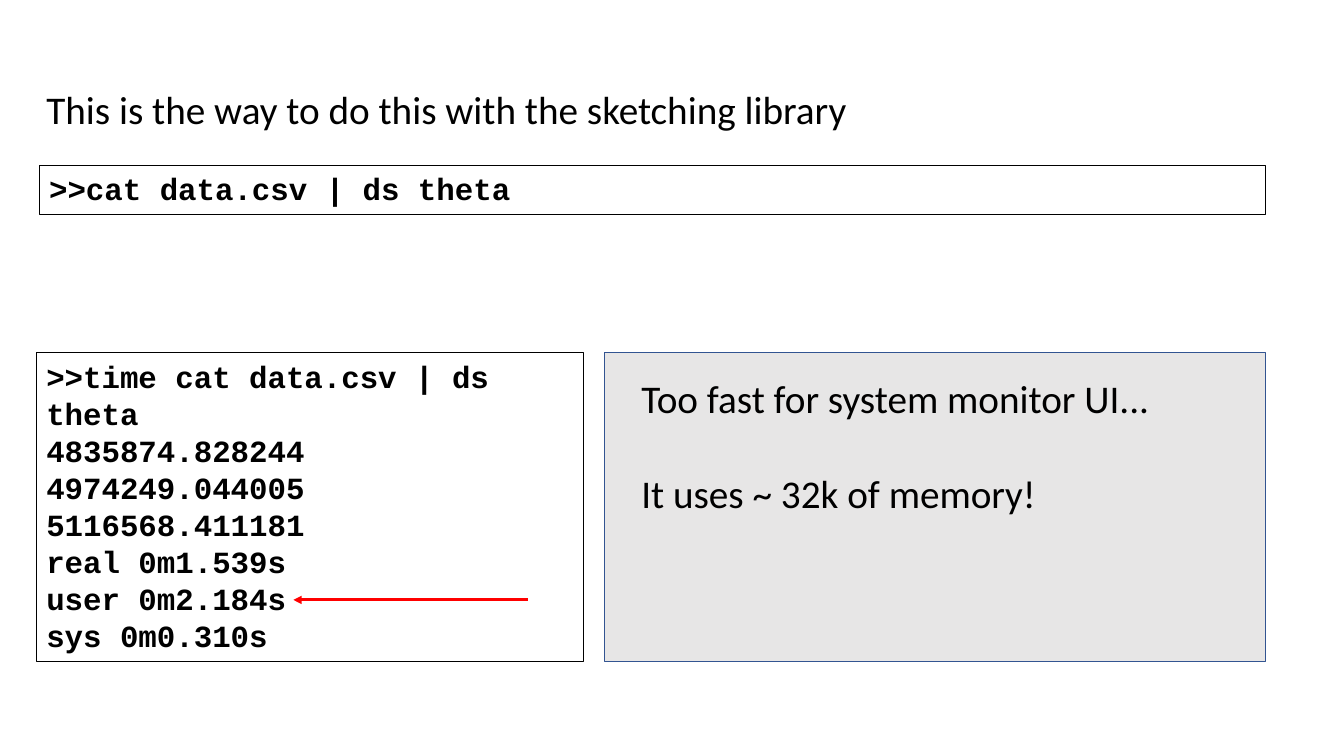
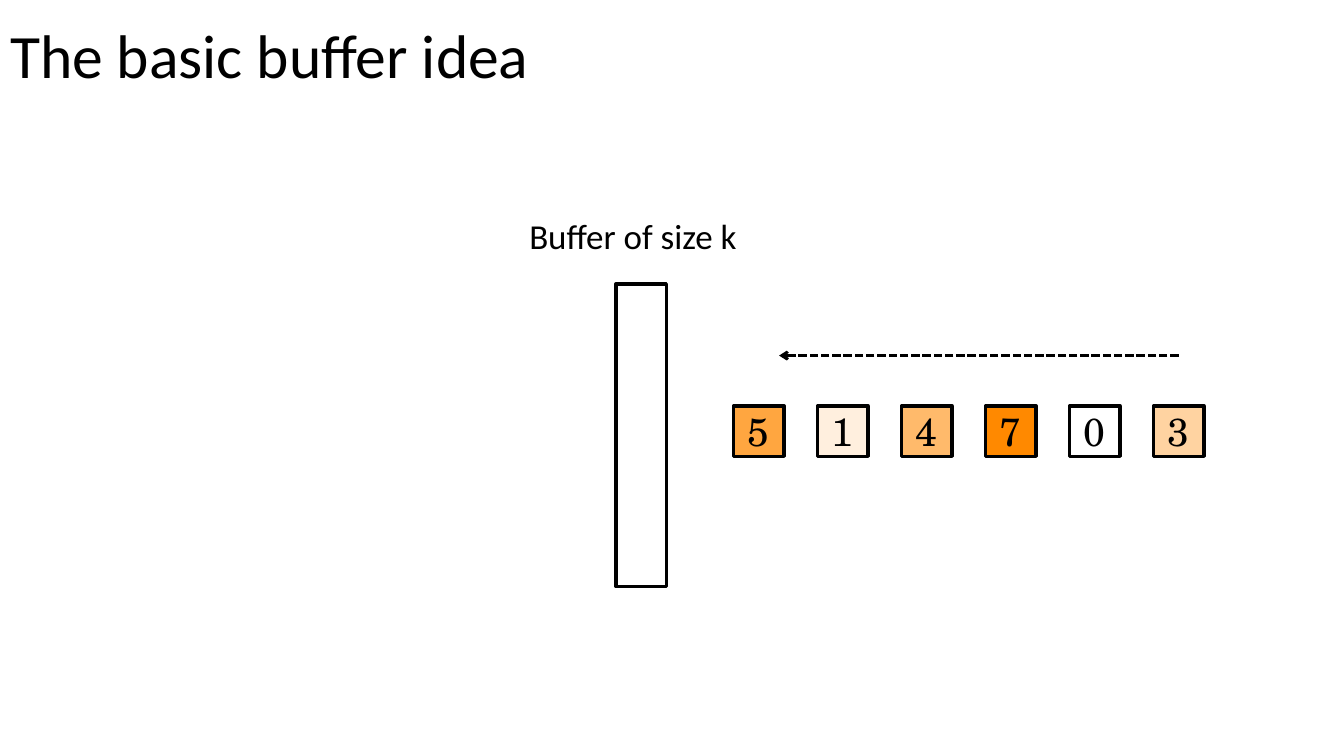
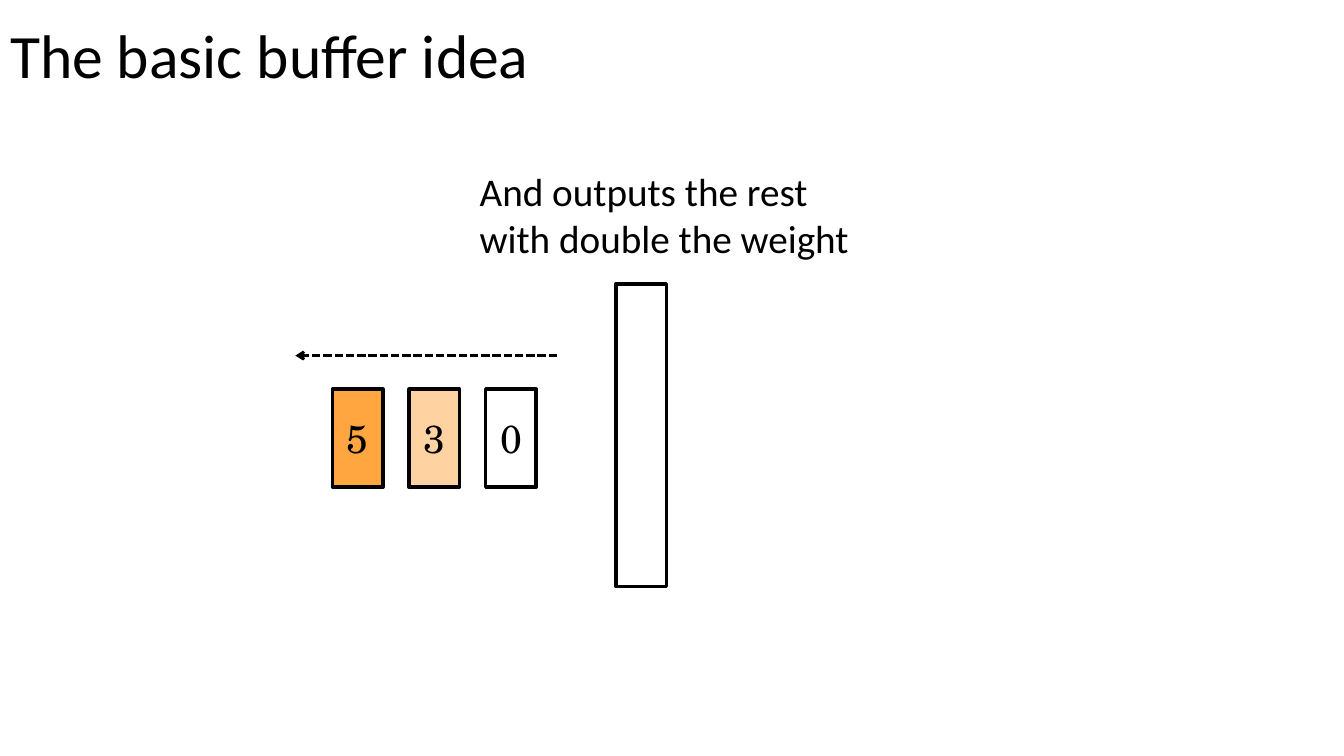
from lxml.etree import SubElement
from pptx import Presentation
from pptx.dml.color import RGBColor
from pptx.enum.dml import MSO_LINE
from pptx.enum.shapes import MSO_CONNECTOR, MSO_SHAPE
from pptx.enum.text import MSO_ANCHOR, MSO_AUTO_SIZE, PP_ALIGN
from pptx.oxml.ns import qn
from pptx.util import Pt

BLACK, RED, ORANGE, GREY, BLUE = "000000", "FF0000", "FF8900", "E7E6E6", "325491"
BODY_FONT, CODE_FONT, DIGIT_FONT = "Calibri", "Courier New", "TeX Gyre Schola"
TITLE_ONLY, BLANK = 5, 6
OPACITY = {0: 0, 1: 13, 3: 37, 4: 58, 5: 75, 7: 100}
TOKEN_WIDTH = 36


def color(value):
    return RGBColor.from_string(value)


def write(shape, lines, size, font=BODY_FONT, bold=False, align=PP_ALIGN.LEFT,
          anchor=MSO_ANCHOR.TOP, gap=0):
    frame = shape.text_frame
    frame.word_wrap = True
    frame.auto_size = MSO_AUTO_SIZE.NONE
    frame.vertical_anchor = anchor
    for index, line in enumerate(lines):
        paragraph = frame.add_paragraph() if index else frame.paragraphs[0]
        paragraph.alignment = align
        if index and gap:
            paragraph.space_before = Pt(gap)
        run = paragraph.add_run()
        run.text = line
        run.font.name = font
        run.font.size = Pt(size)
        run.font.bold = bold
        run.font.color.rgb = color(BLACK)


def add_text(slide, left, top, width, height, lines, size, gap=0):
    shape = slide.shapes.add_textbox(Pt(left), Pt(top), Pt(width), Pt(height))
    write(shape, lines, size, gap=gap)


def add_box(slide, left, top, width, height, line, line_width, fill=None, opacity=100):
    shape = slide.shapes.add_shape(
        MSO_SHAPE.RECTANGLE, Pt(left), Pt(top), Pt(width), Pt(height))
    shape.shadow.inherit = False
    shape.line.color.rgb = color(line)
    shape.line.width = Pt(line_width)
    if fill and opacity:
        shape.fill.solid()
        shape.fill.fore_color.rgb = color(fill)
        if opacity < 100:
            tint = shape._element.spPr.find(qn("a:solidFill"))[0]
            SubElement(tint, qn("a:alpha"), val=str(opacity * 1000))
    else:
        shape.fill.background()
    return shape


def add_arrow(slide, start, end, y, line, head, dash=None):
    connector = slide.shapes.add_connector(
        MSO_CONNECTOR.STRAIGHT, Pt(start), Pt(y), Pt(end), Pt(y))
    connector.line.color.rgb = color(line)
    connector.line.width = Pt(2)
    if dash:
        connector.line.dash_style = dash
    properties = connector._element.spPr
    SubElement(properties.find(qn("a:ln")), qn("a:tailEnd"), type=head)
    SubElement(properties, qn("a:effectLst"))


def add_code(slide, left, top, width, height, lines):
    box = add_box(slide, left, top, width, height, BLACK, 0.75)
    write(box, lines, 22, CODE_FONT, bold=True)


def add_timing(slide, left, top, width, height):
    add_code(slide, left, top, width, height, [
        ">>time cat data.csv | ds theta",
        "4835874.828244 4974249.044005 5116568.411181",
        "real 0m1.539s",
        "user 0m2.184s",
        "sys 0m0.310s",
    ])
    add_arrow(slide, left + 351, left + 183.5, top + 176.5, RED, "triangle")


def add_memory_note(slide, left, top, width, height):
    add_box(slide, left, top, width, height, BLUE, 1, GREY)
    add_text(slide, left + 19, top + 12, width - 62, 109,
             ["Too fast for system monitor UI...", "It uses ~ 32k of memory!"],
             28, gap=34)


def add_tokens(slide, left, top, height, pitch, values):
    for index, value in enumerate(values):
        token = add_box(slide, left + index * pitch, top, TOKEN_WIDTH, height,
                        BLACK, 2.5, ORANGE, OPACITY[value])
        write(token, [str(value)], 28, DIGIT_FONT,
              align=PP_ALIGN.CENTER, anchor=MSO_ANCHOR.MIDDLE)


def add_flow_arrow(slide, start, end):
    add_arrow(slide, start, end, 254, BLACK, "arrow", MSO_LINE.SQUARE_DOT)


def add_command_slide(presentation):
    slide = presentation.slides.add_slide(presentation.slide_layouts[BLANK])
    add_text(slide, 26, 57.5, 878, 41,
             ["This is the way to do this with the sketching library"], 28)
    add_code(slide, 28, 118, 876, 35, [">>cat data.csv | ds theta"])
    add_timing(slide, 26, 252, 391, 220.5)
    add_memory_note(slide, 432, 252, 472, 220.5)


def add_buffer_slide(presentation):
    slide = presentation.slides.add_slide(presentation.slide_layouts[TITLE_ONLY])
    title = slide.shapes.title
    title.left, title.top, title.width, title.height = Pt(0), Pt(-0.5), Pt(671), Pt(85)
    write(title, ["The basic buffer idea"], 44, anchor=MSO_ANCHOR.MIDDLE)
    title.text_frame.paragraphs[0].line_spacing = 0.9
    add_box(slide, 440, 203, TOKEN_WIDTH, 216, BLACK, 2.5)
    return slide


def add_input_slide(presentation):
    slide = add_buffer_slide(presentation)
    add_text(slide, 371, 150, 175, 37.5, ["Buffer of size k"], 25)
    add_flow_arrow(slide, 842, 556.5)
    add_tokens(slide, 524, 290, 36, 60, [5, 1, 4, 7, 0, 3])


def add_output_slide(presentation):
    slide = add_buffer_slide(presentation)
    add_text(slide, 335.5, 116, 358, 75,
             ["And outputs the rest", "with double the weight"], 28)
    add_flow_arrow(slide, 398, 211)
    add_tokens(slide, 237.5, 278, 70, 54.75, [5, 3, 0])


def main():
    presentation = Presentation()
    presentation.slide_width, presentation.slide_height = Pt(960), Pt(540)
    add_command_slide(presentation)
    add_input_slide(presentation)
    add_output_slide(presentation)
    presentation.save("out.pptx")


if __name__ == "__main__":
    main()
